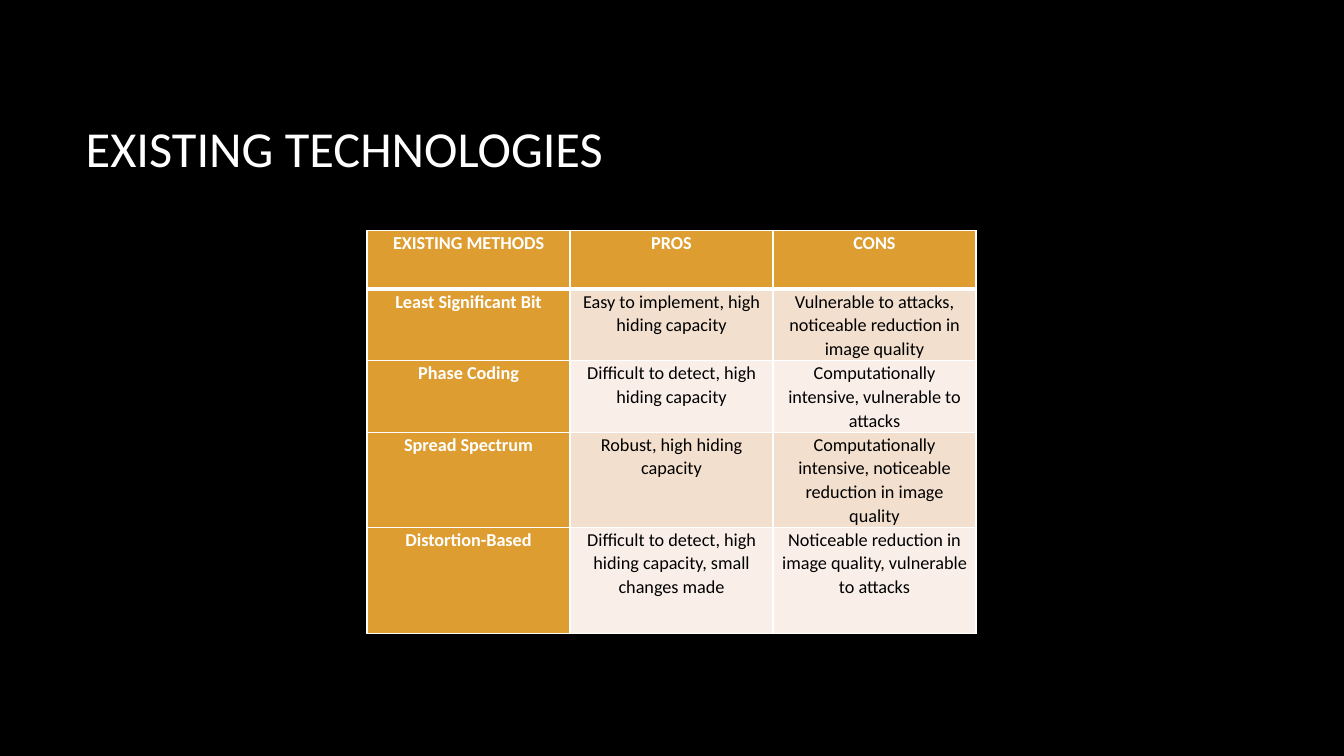
from dataclasses import dataclass

from lxml.etree import SubElement
from pptx import Presentation
from pptx.dml.color import RGBColor as Color
from pptx.enum.text import MSO_ANCHOR as Anchor, PP_ALIGN as Align
from pptx.oxml.ns import qn
from pptx.util import Inches, Pt


@dataclass(frozen=True)
class Theme:
    font: str = "Calibri"
    background: str = "000000"
    light: str = "FFFFFF"
    dark: str = "000000"
    accent: str = "DD9D31"
    bands: tuple = ("F2DFCE", "F9EFE8")
    title_size: float = 36
    table_size: float = 13
    rule: float = 1
    header_rule: float = 3


THEME = Theme()
TITLE_BOX = (0.75, 0.67, 11.08, 1.59)
TABLE_BOX = (3.64, 2.29, 6.04, 3.99)
ROW_SHARES = (0.58, 0.71, 0.71, 0.94, 1.05)
METHODS = (
    ("EXISTING METHODS", "PROS", "CONS"),
    ("Least Significant Bit", "Easy to implement, high hiding capacity",
     "Vulnerable to attacks, noticeable reduction in image quality"),
    ("Phase Coding", "Difficult to detect, high hiding capacity",
     "Computationally intensive, vulnerable to attacks"),
    ("Spread Spectrum", "Robust, high hiding capacity",
     "Computationally intensive, noticeable reduction in image quality"),
    ("Distortion-Based",
     "Difficult to detect, high hiding capacity, small changes made",
     "Noticeable reduction in image quality, vulnerable to attacks"),
)


def add_run(para, text, size, color, bold=False):
    run = para.add_run()
    run.text = text
    run.font.name = THEME.font
    run.font.size = Pt(size)
    run.font.bold = bold
    run.font.color.rgb = Color.from_string(color)


def add_title(page, box, text):
    title = page.shapes.title
    title.left, title.top, title.width, title.height = map(Inches, box)
    frame = title.text_frame
    frame.word_wrap = True
    frame.vertical_anchor = Anchor.MIDDLE
    para = frame.paragraphs[0]
    para.alignment = Align.LEFT
    add_run(para, text, THEME.title_size, THEME.light)


def set_borders(cell, widths):
    properties = cell._tc.get_or_add_tcPr()
    for side, width in widths.items():
        line = SubElement(properties, qn(f"a:ln{side}"), w=str(Pt(width)))
        fill = SubElement(line, qn("a:solidFill"))
        SubElement(fill, qn("a:srgbClr"), val=THEME.light)


def format_cell(cell, text, row, column):
    # Borders come before the fill in the cell's properties
    widths = dict.fromkeys("LRTB", THEME.rule)
    if row < 2:
        widths["B" if row == 0 else "T"] = THEME.header_rule
    set_borders(cell, widths)

    heading = row == 0 or column == 0
    cell.fill.solid()
    cell.fill.fore_color.rgb = Color.from_string(
        THEME.accent if heading else THEME.bands[(row - 1) % 2])
    cell.margin_left = cell.margin_right = Inches(0.07)
    cell.margin_top = cell.margin_bottom = 0

    para = cell.text_frame.paragraphs[0]
    para.alignment = Align.CENTER
    para.line_spacing = 1.07
    para.space_after = Pt(8)
    add_run(para, text, THEME.table_size,
            THEME.light if heading else THEME.dark, heading)


def add_methods_table(page, box, rows):
    left, top, width, height = map(Inches, box)
    table = page.shapes.add_table(
        len(rows), len(rows[0]), left, top, width, height).table
    table.first_col = True
    for column in table.columns:
        column.width = width // len(rows[0])
    for row, share in zip(table.rows, ROW_SHARES):
        row.height = int(height * share / sum(ROW_SHARES))
    for r, texts in enumerate(rows):
        for c, text in enumerate(texts):
            format_cell(table.cell(r, c), text, r, c)


def main():
    deck = Presentation()
    deck.slide_width, deck.slide_height = Inches(13.33), Inches(7.5)
    page = deck.slides.add_slide(deck.slide_layouts.get_by_name("Title Only"))
    page.background.fill.solid()
    page.background.fill.fore_color.rgb = Color.from_string(THEME.background)
    add_title(page, TITLE_BOX, "EXISTING TECHNOLOGIES")
    add_methods_table(page, TABLE_BOX, METHODS)
    deck.save("out.pptx")


if __name__ == "__main__":
    main()
